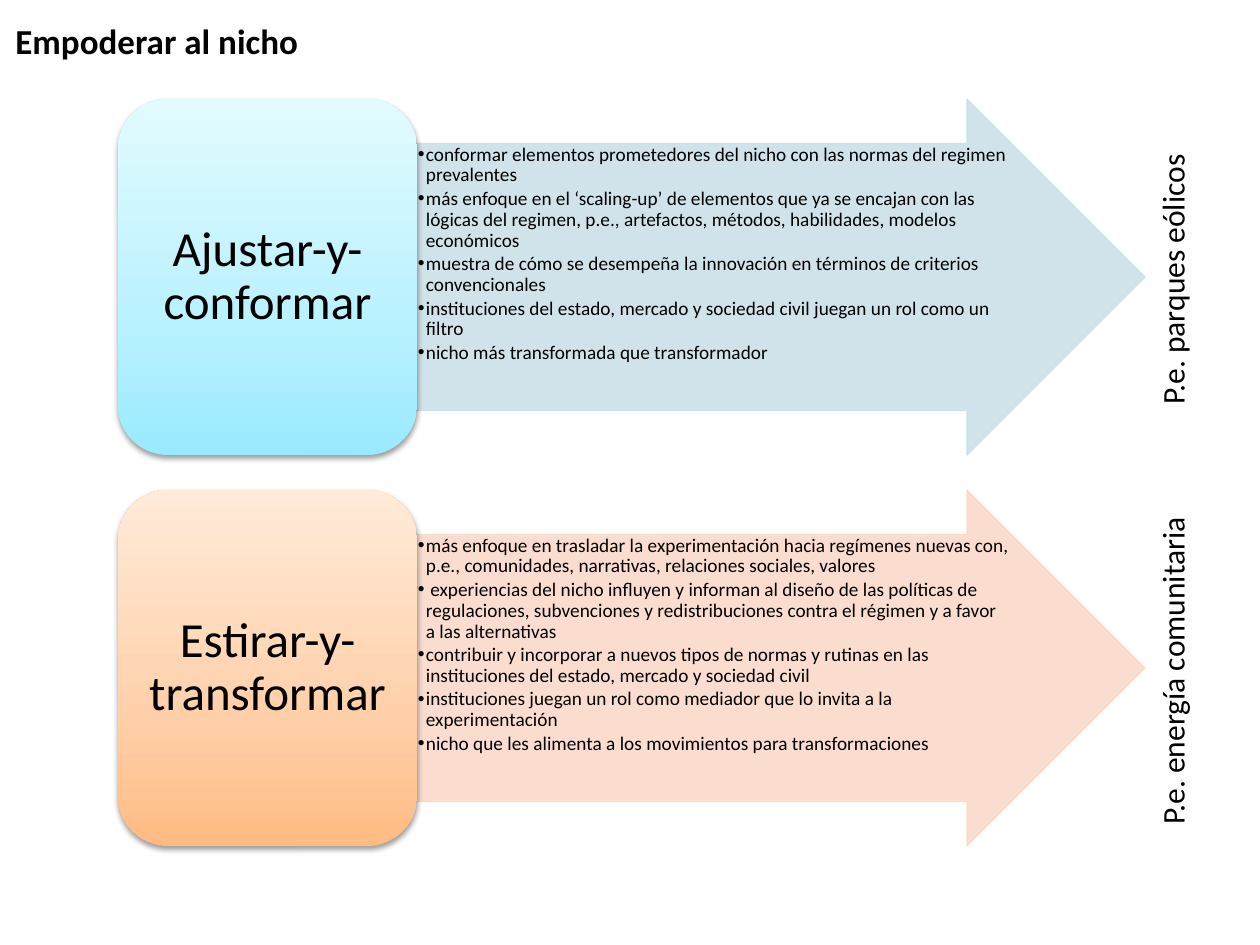
from dataclasses import dataclass

from lxml.etree import SubElement
from pptx import Presentation
from pptx.dml.color import RGBColor
from pptx.enum.shapes import MSO_SHAPE as Shape
from pptx.enum.text import MSO_ANCHOR as Anchor, PP_ALIGN as Align
from pptx.oxml import parse_xml
from pptx.oxml.ns import nsdecls, qn
from pptx.util import Emu, Pt

PX_PER_INCH = 126
ROW_TOP, ROW_PITCH, ROW_HEIGHT = 99, 391, 356
CARD_LEFT, CARD_WIDTH = 118, 299
ARROW_LEFT, ARROW_WIDTH = CARD_LEFT + CARD_WIDTH, 728
EXAMPLE_CENTER_X, EXAMPLE_HEIGHT = 1172, 50
BULLET_MARGIN, BULLET_INDENT = 8, -10


@dataclass(frozen=True)
class Strategy:
    name: str
    gradient: tuple[str, str, str]  # from bottom to top
    arrow_color: str
    points: tuple[str, ...]
    example: str
    example_width: int


STRATEGIES = (
    Strategy(
        "Ajustar-y-conformar", ("99EAFF", "B8F1FF", "E2FBFF"), "CDE1E8",
        (
            "conformar elementos prometedores del nicho con las normas del regimen prevalentes",
            "más enfoque en el ‘scaling-up’ de elementos que ya se encajan con las lógicas "
            "del regimen, p.e., artefactos, métodos, habilidades, modelos económicos",
            "muestra de cómo se desempeña la innovación en términos de criterios convencionales",
            "instituciones del estado, mercado y sociedad civil juegan un rol como un filtro",
            "nicho más transformada que transformador",
        ),
        "P.e. parques eólicos", 278,
    ),
    Strategy(
        "Estirar-y-transformar", ("FFBB82", "FFCFA8", "FFEBD9"), "FBDACB",
        (
            "más enfoque en trasladar la experimentación hacia regímenes nuevas con, p.e., "
            "comunidades, narrativas, relaciones sociales, valores",
            " experiencias del nicho influyen y informan al diseño de las políticas de "
            "regulaciones, subvenciones y redistribuciones contra el régimen y a favor "
            "a las alternativas",
            "contribuir y incorporar a nuevos tipos de normas y rutinas en las "
            "instituciones del estado, mercado y sociedad civil",
            "instituciones juegan un rol como mediador que lo invita a la experimentación",
            "nicho que les alimenta a los movimientos para transformaciones",
        ),
        "P.e. energía comunitaria", 336,
    ),
)


def px(length: int) -> Emu:
    return Emu(round(length * 914400 / PX_PER_INCH))


def color(value: str) -> RGBColor:
    return RGBColor.from_string(value)


def apply(target, values: dict) -> None:
    for key, value in values.items():
        setattr(target, key, value)


def set_margins(frame, horizontal: int, vertical: int) -> None:
    apply(frame, {"margin_left": px(horizontal), "margin_top": px(vertical),
                  "margin_right": px(horizontal), "margin_bottom": px(vertical)})


def write(paragraph, text: str, size: int, bold: bool = False, **layout) -> None:
    run = paragraph.add_run()
    run.text = text
    apply(run.font, {"name": "Calibri", "size": Pt(size), "bold": bold})
    run.font.color.rgb = color("000000")
    apply(paragraph, layout)


def add_label(slide, text: str, box: tuple[int, int, int, int], size: int,
              bold: bool = False, rotation: int = 0) -> None:
    label = slide.shapes.add_textbox(*map(px, box))
    label.rotation = rotation
    label.text_frame.word_wrap = False
    write(label.text_frame.paragraphs[0], text, size, bold)


def add_bullet(paragraph) -> None:
    props = paragraph._p.get_or_add_pPr()
    props.set("marL", str(px(BULLET_MARGIN)))
    props.set("indent", str(px(BULLET_INDENT)))
    SubElement(props, qn("a:buFont")).set("typeface", "Arial")
    SubElement(props, qn("a:buChar")).set("char", "•")


def add_arrow(slide, strategy: Strategy, top: int) -> None:
    arrow = slide.shapes.add_shape(
        Shape.RIGHT_ARROW, *map(px, (ARROW_LEFT, top, ARROW_WIDTH, ROW_HEIGHT)))
    arrow.adjustments[0], arrow.adjustments[1] = 0.75, 0.5
    arrow.shadow.inherit = False
    arrow.line.width = Pt(0.75)
    for paint in (arrow.fill, arrow.line.fill):
        paint.solid()
        paint.fore_color.rgb = color(strategy.arrow_color)
    for rgb in arrow._element.spPr.iter(qn("a:srgbClr")):
        SubElement(rgb, qn("a:alpha")).set("val", "90000")

    frame = arrow.text_frame
    apply(frame, {"word_wrap": True, "vertical_anchor": Anchor.TOP})
    set_margins(frame, 1, 1)
    for index, point in enumerate(strategy.points):
        paragraph = frame.add_paragraph() if index else frame.paragraphs[0]
        write(paragraph, point, 11, level=1, alignment=Align.LEFT, line_spacing=0.9,
              space_before=Pt(1.6 if index else 0))
        add_bullet(paragraph)


def add_card(slide, strategy: Strategy, top: int) -> None:
    card = slide.shapes.add_shape(
        Shape.ROUNDED_RECTANGLE, *map(px, (CARD_LEFT, top, CARD_WIDTH, ROW_HEIGHT)))
    card.adjustments[0] = 0.167
    card.line.fill.background()

    # Gradient fill and soft shadow
    stops = "".join(f'<a:gs pos="{position}000"><a:srgbClr val="{value}"/></a:gs>'
                    for position, value in zip((0, 35, 100), strategy.gradient))
    props = card._element.spPr
    props.find(qn("a:prstGeom")).addnext(parse_xml(
        f'<a:gradFill {nsdecls("a")} rotWithShape="1"><a:gsLst>{stops}</a:gsLst>'
        '<a:lin ang="16200000" scaled="1"/></a:gradFill>'))
    props.append(parse_xml(
        f'<a:effectLst {nsdecls("a")}><a:outerShdw blurRad="{Pt(3.1)}" dist="{Pt(1.6)}" '
        'dir="5400000" rotWithShape="0"><a:srgbClr val="000000"><a:alpha val="38000"/>'
        '</a:srgbClr></a:outerShdw></a:effectLst>'))

    frame = card.text_frame
    apply(frame, {"word_wrap": True, "vertical_anchor": Anchor.MIDDLE})
    set_margins(frame, 15, 8)
    write(frame.paragraphs[0], strategy.name, 28, alignment=Align.CENTER, line_spacing=0.9)


def add_example(slide, strategy: Strategy, top: int) -> None:
    center_y = top + ROW_HEIGHT // 2 + 1
    box = (EXAMPLE_CENTER_X - strategy.example_width // 2, center_y - EXAMPLE_HEIGHT // 2,
           strategy.example_width, EXAMPLE_HEIGHT)
    add_label(slide, strategy.example, box, 18, rotation=270)


def main() -> None:
    deck = Presentation()
    apply(deck, {"slide_width": px(1260), "slide_height": px(945)})
    slide = deck.slides.add_slide(deck.slide_layouts[6])

    # Title
    add_label(slide, "Empoderar al nicho", (3, 13, 310, 55), 20, bold=True)

    # One row per strategy
    for row, strategy in enumerate(STRATEGIES):
        top = ROW_TOP + row * ROW_PITCH
        add_arrow(slide, strategy, top)
        add_card(slide, strategy, top)
        add_example(slide, strategy, top)

    deck.save("out.pptx")


if __name__ == "__main__":
    main()
